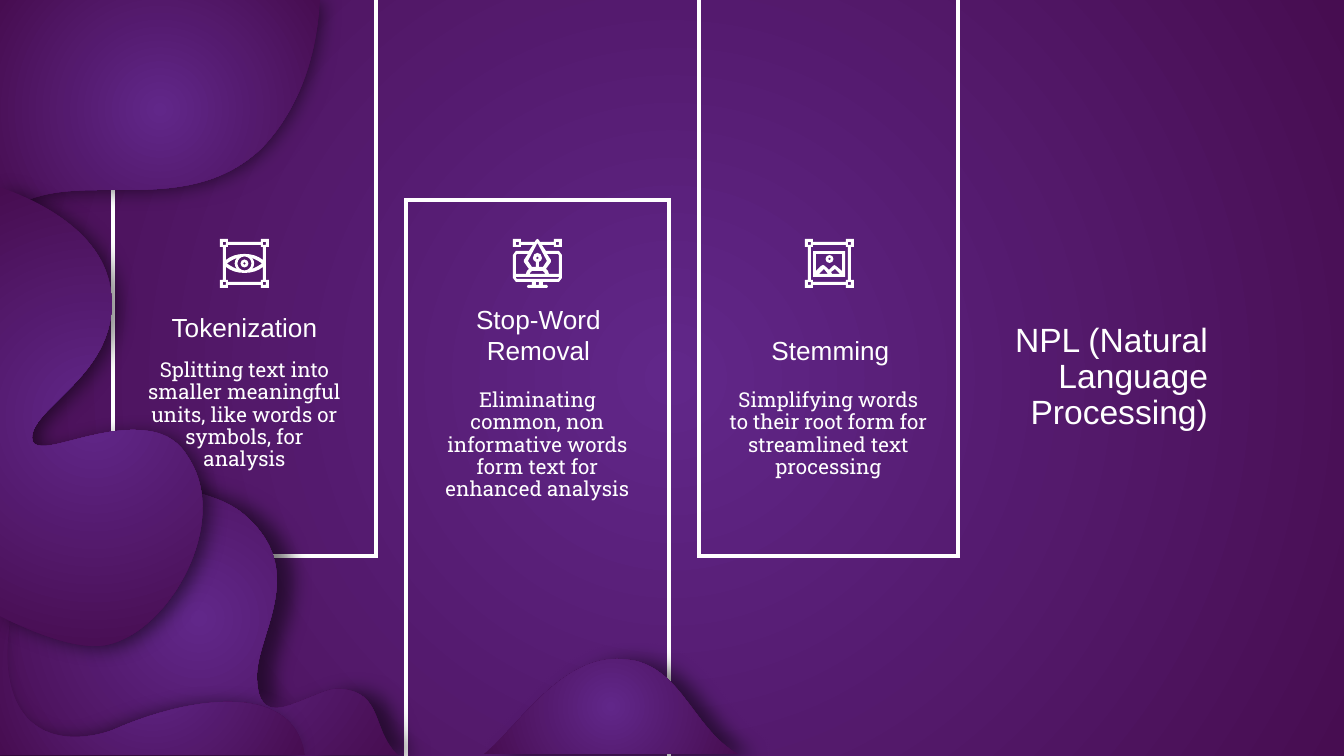
"""Build the NLP slide with three framed columns over a purple wavy background."""
from typing import NamedTuple

import lxml.etree
import pptx
import pptx.dml.color
import pptx.enum.shapes
import pptx.enum.text
import pptx.oxml.ns
import pptx.util

SCALE = 914400 / 134.4
FINE = 10
WHITE, INNER, OUTER = "FFFFFF", "612789", "470D51"
ICON_TOP, ICON_SIZE, TEXT_WIDTH = 239, 49, 223
ALIGN = pptx.enum.text.PP_ALIGN
ANCHOR = pptx.enum.text.MSO_ANCHOR
qn = pptx.oxml.ns.qn


class Blob(NamedTuple):
    outline: list
    distance: int
    angle: int


class Column(NamedTuple):
    panel: tuple
    heading: str
    heading_at: tuple
    body: str
    body_at: tuple
    icon: list
    icon_x: int


class TextStyle(NamedTuple):
    size: int
    font: str
    align: int
    anchor: int
    spacing: float


TITLE = TextStyle(18, "Arial", ALIGN.RIGHT, ANCHOR.MIDDLE, 0.9)
HEADING = TextStyle(14, "Arial", ALIGN.CENTER, ANCHOR.BOTTOM, 1.0)
BODY = TextStyle(11, "Roboto Slab", ALIGN.CENTER, ANCHOR.TOP, 0.9)

BLOBS = [
    Blob([(617, 659), (624, 659, 630, 660, 636, 661), (683, 673, 695, 730, 738, 754),
          (484, 754), (516, 730, 558, 659, 617, 659)], 17, 4),
    Blob([(93, 482), (152, 482, 210, 489, 241, 512), (313, 570, 254, 636, 257, 680),
          (258, 702, 266, 708, 276, 708), (285, 708, 296, 703, 306, 699),
          (319, 694, 329, 689, 337, 689), (339, 689, 339, 689, 340, 689),
          (384, 692, 371, 730, 398, 755), (305, 755), (298, 715, 267, 702, 228, 702),
          (195, 702, 156, 712, 120, 727), (105, 734, 89, 737, 75, 737), (32, 737, 0, 706, 9, 630),
          (11, 609, 7, 594, 0, 582), (0, 488), (28, 485, 60, 482, 93, 482)], 17, 4),
    Blob([(0, 582), (7, 594, 11, 609, 9, 630), (0, 706, 32, 737, 75, 737),
          (89, 737, 105, 734, 120, 727), (156, 712, 195, 702, 228, 702),
          (267, 702, 298, 715, 305, 755), (0, 755)], 8, 172),
    Blob([(320, 0), (317, 51, 302, 106, 262, 148), (220, 188, 169, 190, 120, 190),
          (116, 190, 112, 190, 108, 190), (70, 190, 35, 191, 9, 211), (6, 214, 3, 216, 0, 219),
          (0, 0)], 3, 21),
    Blob([(0, 187), (52, 206, 101, 237, 110, 286), (125, 371, 32, 405, 32, 438),
          (32, 444, 36, 446, 43, 446), (60, 446, 98, 430, 133, 430),
          (155, 430, 175, 435, 188, 457), (233, 524, 165, 641, 99, 646),
          (98, 646, 95, 646, 94, 646), (69, 646, 34, 633, 0, 616)], 8, 21),
]


def px(n: float) -> int:
    return pptx.util.Emu(round(n * SCALE))


def rgb(value: str) -> pptx.dml.color.RGBColor:
    return pptx.dml.color.RGBColor.from_string(value)


def pairs(segment: tuple) -> list:
    return list(zip(segment[::2], segment[1::2]))


def rect(x: float, y: float, w: float, h: float) -> list:
    return [(x, y), (x + w, y), (x + w, y + h), (x, y + h)]


def circle(x: float, y: float, r: float) -> list:
    k = 0.55 * r
    return [(x + r, y), (x + r, y + k, x + k, y + r, x, y + r), (x - k, y + r, x - r, y + k, x - r, y),
            (x - r, y - k, x - k, y - r, x, y - r), (x + k, y - r, x + r, y - k, x + r, y)]


def mirror(contour: list, axis: int) -> list:
    return [tuple(ICON_SIZE - n if i % 2 == axis else n for i, n in enumerate(segment))
            for segment in contour]


def glow(fill, element) -> None:
    fill.gradient()
    for stop, color in zip(fill.gradient_stops, (INNER, OUTER)):
        stop.color.rgb = rgb(color)
    gradient = element.find(".//" + qn("a:gradFill"))
    gradient.remove(gradient.find(qn("a:lin")))
    radial = lxml.etree.SubElement(gradient, qn("a:path"), path="circle")
    lxml.etree.SubElement(radial, qn("a:fillToRect"), l="50000", t="50000", r="50000", b="50000")


def add_outline(s, contours: list, x: int = 0, y: int = 0):
    """Draw closed contours as one freeform, bending each six-number segment into a curve."""
    placed = [[[(round((a + x) * FINE), round((b + y) * FINE)) for a, b in pairs(segment)]
               for segment in contour] for contour in contours]
    anchors = [segment[-1] for contour in placed for segment in contour]
    left, top = (min(values) for values in zip(*anchors))
    builder = s.shapes.build_freeform(*placed[0][0][0], scale=SCALE / FINE)
    for i, contour in enumerate(placed):
        if i:
            builder.move_to(*contour[0][0])
        builder.add_line_segments([segment[-1] for segment in contour[1:]], close=True)
    sp = builder.convert_to_shape()
    segments = [segment for contour in placed for segment in contour[1:]]
    for line, segment in zip(list(sp.element.iter(qn("a:lnTo"))), segments):
        if len(segment) == 3:
            curve = lxml.etree.Element(qn("a:cubicBezTo"))
            for a, b in segment:
                lxml.etree.SubElement(curve, qn("a:pt"), x=str(a - left), y=str(b - top))
            line.getparent().replace(line, curve)
    sp.line.fill.background()
    sp.shadow.inherit = False
    return sp


def add_blob(s, blob: Blob) -> None:
    sp = add_outline(s, [blob.outline])
    glow(sp.fill, sp.element)
    effects = sp.element.spPr.find(qn("a:effectLst"))
    shadow = lxml.etree.SubElement(effects, qn("a:outerShdw"), blurRad=str(px(19)),
                                   dist=str(px(blob.distance)), dir=str(blob.angle * 60000),
                                   algn="ctr", rotWithShape="0")
    color = lxml.etree.SubElement(shadow, qn("a:srgbClr"), val="000000")
    lxml.etree.SubElement(color, qn("a:alpha"), val="50000")


def add_panel(s, box: tuple) -> None:
    sp = s.shapes.add_shape(pptx.enum.shapes.MSO_SHAPE.RECTANGLE, *map(px, box))
    sp.fill.background()
    sp.line.color.rgb = rgb(WHITE)
    sp.line.width = pptx.util.Pt(2.25)
    lxml.etree.SubElement(sp.element.spPr.find(qn("a:ln")), qn("a:miter"), lim="800000")
    sp.shadow.inherit = False


def add_icon(s, layers: list, x: int) -> None:
    for contours in layers:
        sp = add_outline(s, contours, x, ICON_TOP)
        sp.fill.solid()
        sp.fill.fore_color.rgb = rgb(WHITE)


def add_text(s, text: str, box: tuple, style: TextStyle) -> None:
    tf = s.shapes.add_textbox(*map(px, box)).text_frame
    tf.word_wrap = True
    tf.vertical_anchor = style.anchor
    tf.margin_left = tf.margin_right = px(10)
    tf.margin_top = tf.margin_bottom = px(5)
    p = tf.paragraphs[0]
    p.alignment, p.line_spacing = style.align, style.spacing
    r = p.add_run()
    r.text = text
    r.font.size, r.font.name = pptx.util.Pt(style.size), style.font
    r.font.color.rgb = rgb(WHITE)


FRAME = [[(0, 0), (8, 0), (8, 3), (41, 3), (41, 0), (49, 0), (49, 8), (46, 8), (46, 41), (49, 41),
          (49, 49), (41, 49), (41, 46), (8, 46), (8, 49), (0, 49), (0, 41), (3, 41), (3, 8), (0, 8)],
         *(rect(x, y, 3, 3) for x in (3, 43) for y in (3, 43))]
FRAME_HOLE = [(8, 6), (41, 6), (41, 8), (43, 8), (43, 41), (41, 41), (41, 43), (8, 43), (8, 41),
              (6, 41), (6, 8), (8, 8)]
LID = [(8, 6), (41, 6), (41, 8), (43, 8), (43, 21), (38, 17, 32, 15, 24.5, 15),
       (17, 15, 11, 17, 6, 21), (6, 8), (8, 8)]
EYE_CORNER = [(32, 19), (37, 21, 40, 23, 42, 24.5), (40, 26, 37, 28, 32, 30), (35, 27, 35, 22, 32, 19)]
EYE = [FRAME + [LID, mirror(LID, 1), EYE_CORNER, mirror(EYE_CORNER, 0), circle(24.5, 24.5, 7)],
       [circle(24.5, 24.5, 4), circle(24.5, 24.5, 1.5)]]
PHOTO = [FRAME + [FRAME_HOLE],
         [rect(8, 12, 32, 26),
          [(11, 15), (37, 15), (37, 32), (31, 27), (29, 26), (28, 27), (24, 31), (20, 27), (18, 26),
           (16, 27), (11, 32)],
          [(19, 30), (23, 35), (14, 35)], [(30, 30), (35, 35), (27, 35), (26, 33)]],
         [circle(24.5, 20, 4), circle(24.5, 20, 1.5)]]
MONITOR_SIDE = [(24.5, 0), (23, 1), (22, 3), (8, 3), (8, 0), (0, 0), (0, 8), (8, 8), (8, 6), (20, 6),
                (16, 12), (3, 12), (0, 16), (0, 39), (3, 43), (19, 43), (19, 46), (15, 46),
                (14, 47.5), (15, 49)]
SCREEN = [(15, 15), (11, 21), (11, 23), (16, 30), (14, 32), (13, 35), (3, 35), (3, 16), (4, 15)]
PEN = [[MONITOR_SIDE + mirror(MONITOR_SIDE, 0)[::-1], rect(3, 3, 3, 3), rect(43, 3, 3, 3),
        circle(24.5, 19, 1.5),
        [(24.5, 4), (34, 22), (30, 28), (26, 28), (26, 23), (28, 22, 29, 21, 29, 19),
         (29, 16, 27, 14, 24.5, 14), (22, 14, 20, 16, 20, 19), (20, 21, 21, 22, 23, 23), (23, 28),
         (19, 28), (15, 22)],
        SCREEN, mirror(SCREEN, 0), [(30, 32), (32, 34), (32, 35), (17, 35), (17, 34), (19, 32)],
        [(46, 38), (46, 39), (45, 40), (4, 40), (3, 39), (3, 38)], rect(23, 43, 3, 3)]]
COLUMNS = [
    Column((113, -8, 263, 564), "Tokenization", (133, 227),
           "Splitting text into smaller meaningful units, like words or symbols, for analysis",
           (133, 355), EYE, 220),
    Column((406, 200, 263, 564), "Stop-Word Removal", (427, 250),
           "Eliminating common, non informative words form text for enhanced analysis",
           (426, 385), PEN, 513),
    Column((699, -8, 259, 564), "Stemming", (719, 250),
           "Simplifying words to their root form for streamlined text processing",
           (717, 385), PHOTO, 805),
]


def main() -> None:
    prs = pptx.Presentation()
    prs.slide_width, prs.slide_height = px(1344), px(756)
    s = prs.slides.add_slide(prs.slide_layouts[6])
    glow(s.background.fill, s.element)
    for column in COLUMNS:
        add_panel(s, column.panel)
    for blob in BLOBS:
        add_blob(s, blob)
    add_text(s, "NPL (Natural Language Processing)", (995, 122, TEXT_WIDTH, 511), TITLE)
    for column in COLUMNS:
        add_text(s, column.heading, (*column.heading_at, TEXT_WIDTH, 121), HEADING)
        add_text(s, column.body, (*column.body_at, TEXT_WIDTH, 132), BODY)
        add_icon(s, column.icon, column.icon_x)
    prs.save("out.pptx")


if __name__ == "__main__":
    main()
